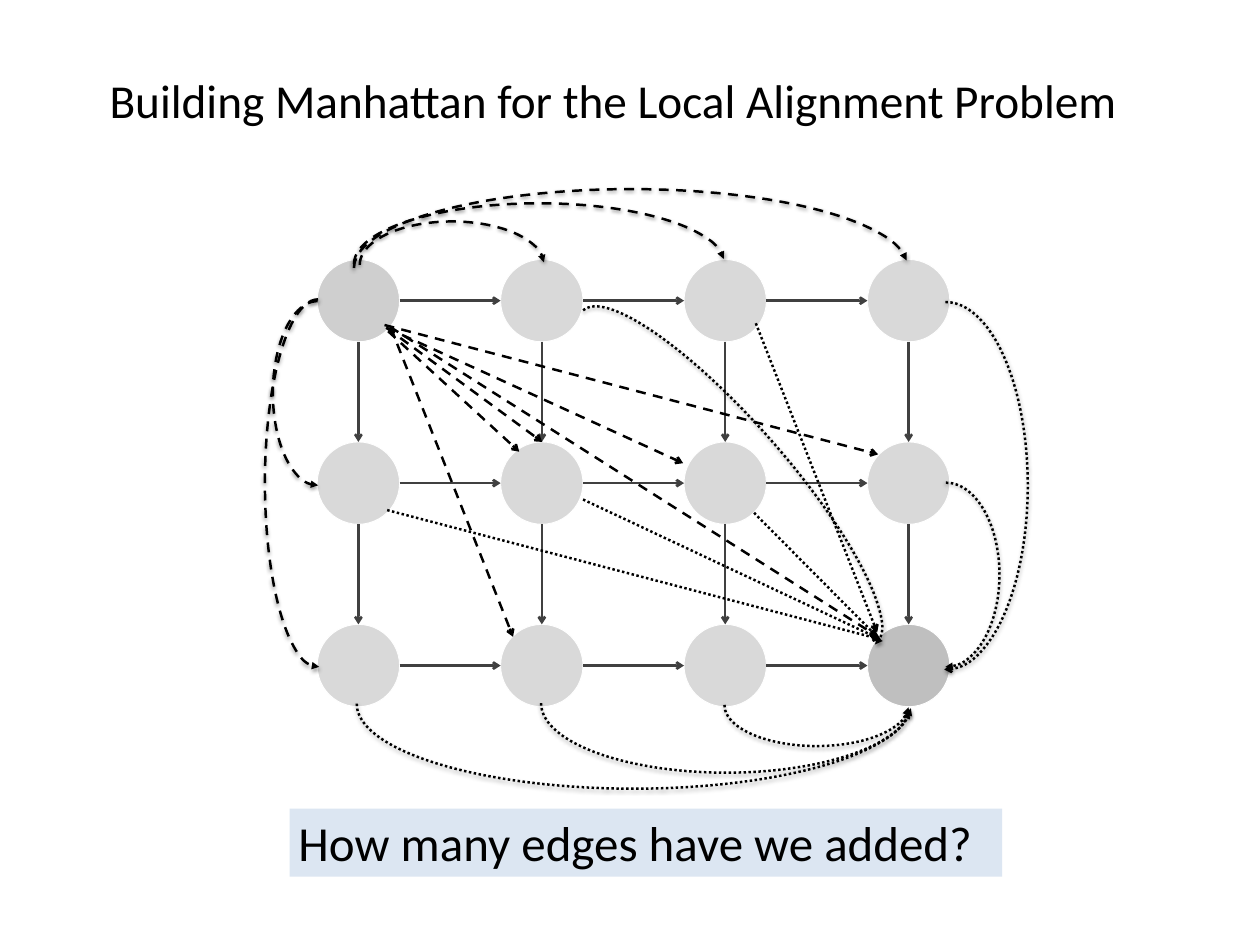
from lxml.etree import SubElement
from pptx import Presentation
from pptx.dml.color import RGBColor
from pptx.enum.dml import MSO_LINE
from pptx.enum.shapes import MSO_CONNECTOR, MSO_SHAPE
from pptx.enum.text import MSO_ANCHOR, MSO_AUTO_SIZE, PP_ALIGN
from pptx.oxml.ns import qn
from pptx.util import Inches, Pt

COLORS = {"black": "000000", "white": "FFFFFF", "node": "D9D9D9",
          "terminal": "BFBFBF", "street": "404040", "question": "DCE6F2"}
ROWS, COLS = 3, 4
LEFT, TOP, DIAMETER = 3.58, 2.93, 0.93
STEP_X, STEP_Y = 2.07, 2.06
DASH, DOT = MSO_LINE.DASH, MSO_LINE.ROUND_DOT

SOURCE_EDGES = [
    ((4.34, 3.67), (9.91, 5.13)), ((4.36, 3.7), (7.71, 5.23)),
    ((4.36, 3.7), (6.12, 4.99)), ((4.41, 3.7), (5.79, 7.19)),
    ((4.38, 3.74), (5.86, 5.1)), ((4.4, 3.69), (9.91, 7.19)),
]
SINK_EDGES = [
    ((4.37, 5.76), (9.94, 7.22)), ((6.58, 5.64), (9.94, 7.22)),
    ((8.51, 5.79), (9.9, 7.19)), ((8.53, 3.65), (9.9, 7.14)),
]
TOP_ARCS = [(4.61, 1.95, 0.98, 2.08), (5.4, 0.89, 1.37, 4.18), (6.23, -0.1, 1.78, 6.25)]
LEFT_ARCS = [(3.08, 3.4, 1.01, 2.08), (2.99, 3.38, 1.2, 4.15)]
BOTTOM_ARCS = [(8.75, 6.92, 0.93, 2.08), (7.41, 5.85, 1.57, 4.18), (6.19, 4.82, 1.92, 6.25)]
INNER_ARC = (7.61, 2.88, 1.25, 5.01)


def rgb(name):
    return RGBColor.from_string(COLORS[name])


def inches(values):
    return [Inches(v) for v in values]


def write_text(tf, text, size, align=PP_ALIGN.LEFT, anchor=MSO_ANCHOR.TOP,
               margins=(0.1, 0.05), spacing=None):
    tf.word_wrap = True
    tf.auto_size = MSO_AUTO_SIZE.NONE
    tf.vertical_anchor = anchor
    tf.margin_left = tf.margin_right = Inches(margins[0])
    tf.margin_top = tf.margin_bottom = Inches(margins[1])
    p = tf.paragraphs[0]
    p.alignment = align
    p.line_spacing = spacing
    r = p.add_run()
    r.text = text
    r.font.size = Pt(size)
    r.font.name = "Calibri"
    r.font.color.rgb = rgb("black")


def style_line(sp, color, dash, head):
    sp.line.color.rgb = rgb(color)
    sp.line.width = Pt(2)
    if dash is not None:
        sp.line.dash_style = dash
    SubElement(sp.line._get_or_add_ln(), qn("a:tailEnd"), type=head)


def add_node(s, row, col):
    box = inches((LEFT + col * STEP_X, TOP + row * STEP_Y, DIAMETER, DIAMETER))
    node = s.shapes.add_shape(MSO_SHAPE.OVAL, *box)
    is_source = (row, col) == (0, 0)
    is_sink = (row, col) == (ROWS - 1, COLS - 1)
    node.fill.solid()
    node.fill.fore_color.rgb = rgb("terminal" if is_source or is_sink else "node")
    if is_source:
        color = node._element.spPr.find(f"{qn('a:solidFill')}/{qn('a:srgbClr')}")
        SubElement(color, qn("a:alpha"), val="75000")
    node.line.color.rgb = rgb("white")
    node.line.width = Pt(0.75)
    node.shadow.inherit = False


def add_edge(s, start, end, color="black", dash=None):
    edge = s.shapes.add_connector(MSO_CONNECTOR.STRAIGHT, *inches(start + end))
    style_line(edge, color, dash, "arrow")
    SubElement(edge._element.spPr, qn("a:effectLst"))


def add_arc(s, box, dash, sweep_end, rotation=0, flip=False, head="triangle"):
    arc = s.shapes.add_shape(MSO_SHAPE.ARC, *inches(box))
    arc.adjustments[0] = 162
    arc.adjustments[1] = sweep_end
    arc.rotation = rotation
    if flip:
        arc._element.spPr.find(qn("a:xfrm")).set("flipH", "1")
    arc.fill.background()
    style_line(arc, "black", dash, head)
    arc.shadow.inherit = False
    shadow = SubElement(arc._element.spPr.find(qn("a:effectLst")), qn("a:outerShdw"),
                        blurRad=str(Pt(3.1)), dist=str(Pt(1.6)), dir="5400000", rotWithShape="0")
    color = SubElement(shadow, qn("a:srgbClr"), val=COLORS["black"])
    SubElement(color, qn("a:alpha"), val="38000")


def add_streets(s):
    radius = DIAMETER / 2
    for row in range(ROWS):
        for col in range(COLS):
            x = LEFT + radius + col * STEP_X
            y = TOP + radius + row * STEP_Y
            if col < COLS - 1:
                add_edge(s, (x + radius, y), (x + STEP_X - radius, y), "street")
            if row < ROWS - 1:
                add_edge(s, (x, y + radius), (x, y + STEP_Y - radius), "street")


def add_arcs(s):
    for box in TOP_ARCS:
        add_arc(s, box, DASH, 53.06, rotation=270)
    for box in LEFT_ARCS:
        add_arc(s, box, DASH, 54.21, flip=True)
    for box in BOTTOM_ARCS:
        add_arc(s, box, DOT, 53.06, rotation=270, flip=True)
    add_arc(s, (10.07, 5.45, 1.21, 2.08), DOT, 54.21)
    add_arc(s, (9.74, 3.41, 1.86, 4.15), DOT, 54.21, head="arrow")
    add_arc(s, INNER_ARC, DOT, 54.21, rotation=318.7)


def add_title(s, text):
    title = s.shapes.title
    title.left, title.top, title.width, title.height = inches((0.64, 0.83, 12.56, 0.71))
    write_text(title.text_frame, text, 38.4, align=PP_ALIGN.CENTER,
               anchor=MSO_ANCHOR.MIDDLE, margins=(0.14, 0.07), spacing=0.8)


def add_question(s, text):
    box = s.shapes.add_textbox(*inches((3.27, 9.13, 8.04, 0.77)))
    box.fill.solid()
    box.fill.fore_color.rgb = rgb("question")
    write_text(box.text_frame, text, 39.8)


def main():
    prs = Presentation()
    prs.slide_width, prs.slide_height = inches((14.22, 10.67))
    s = prs.slides.add_slide(prs.slide_layouts[5])
    add_title(s, "Building Manhattan for the Local Alignment Problem")
    for row in range(ROWS):
        for col in range(COLS):
            add_node(s, row, col)
    add_streets(s)
    for edges, dash in ((SOURCE_EDGES, DASH), (SINK_EDGES, DOT)):
        for start, end in edges:
            add_edge(s, start, end, dash=dash)
    add_arcs(s)
    add_question(s, "How many edges have we added?")
    prs.save("out.pptx")


if __name__ == "__main__":
    main()
